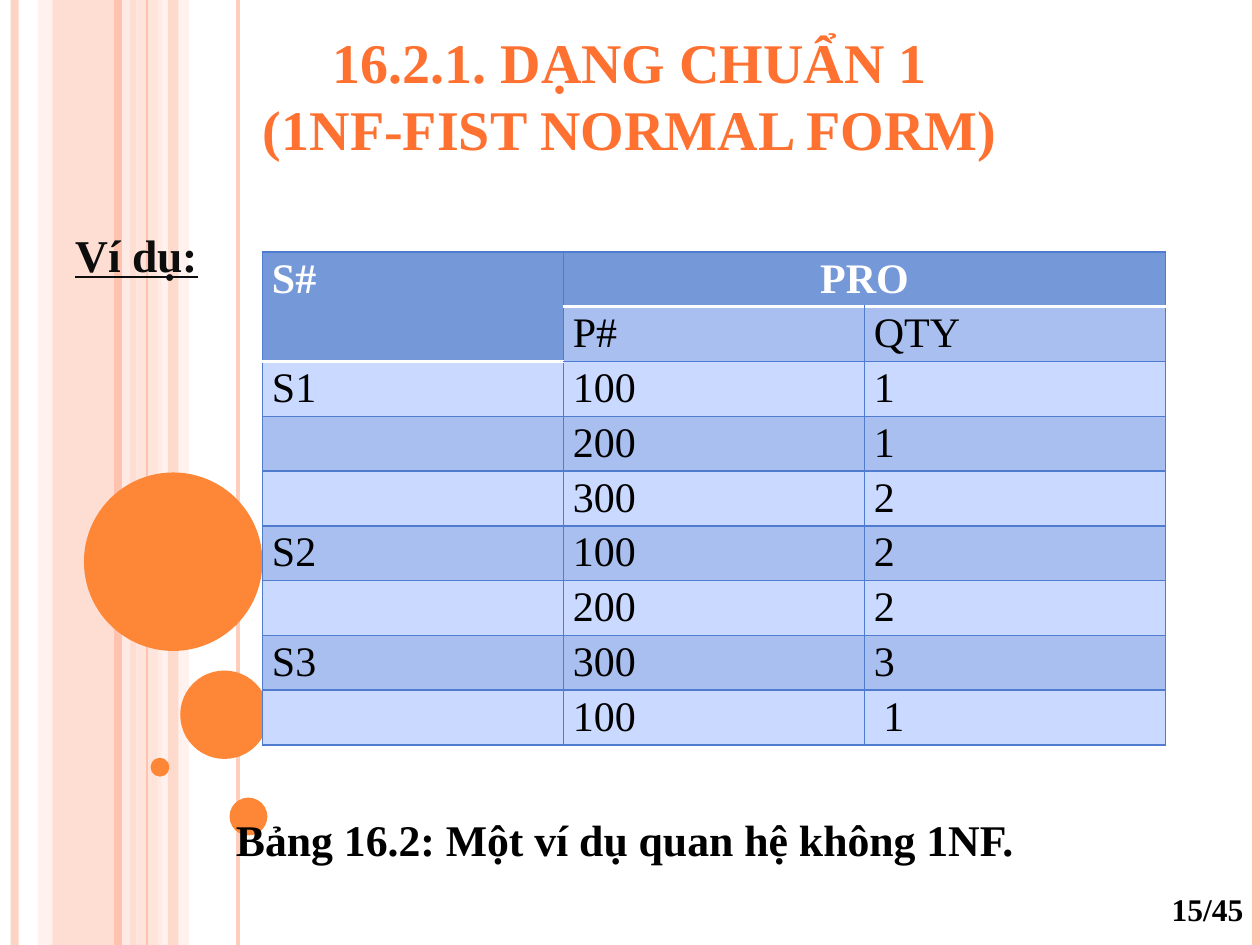
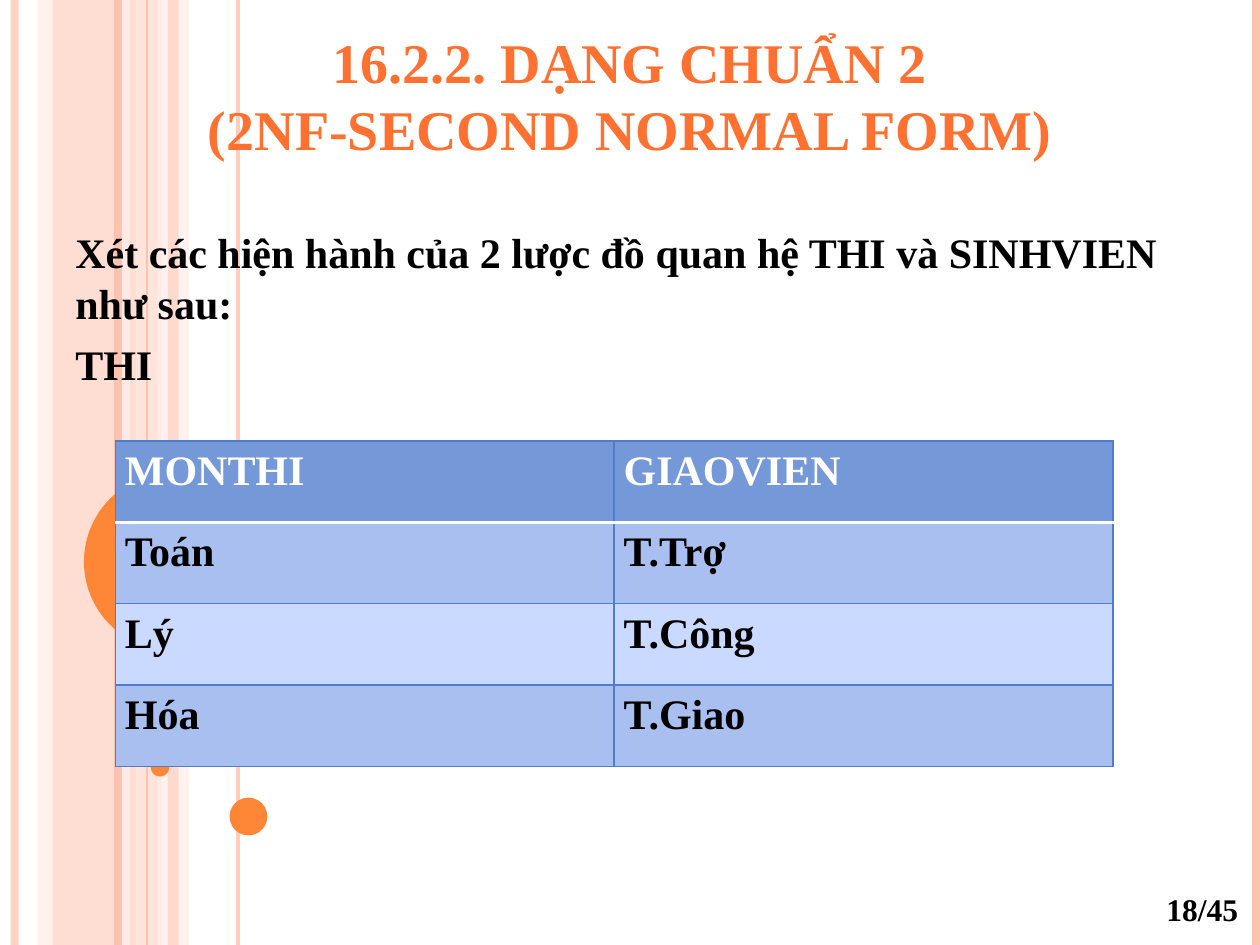
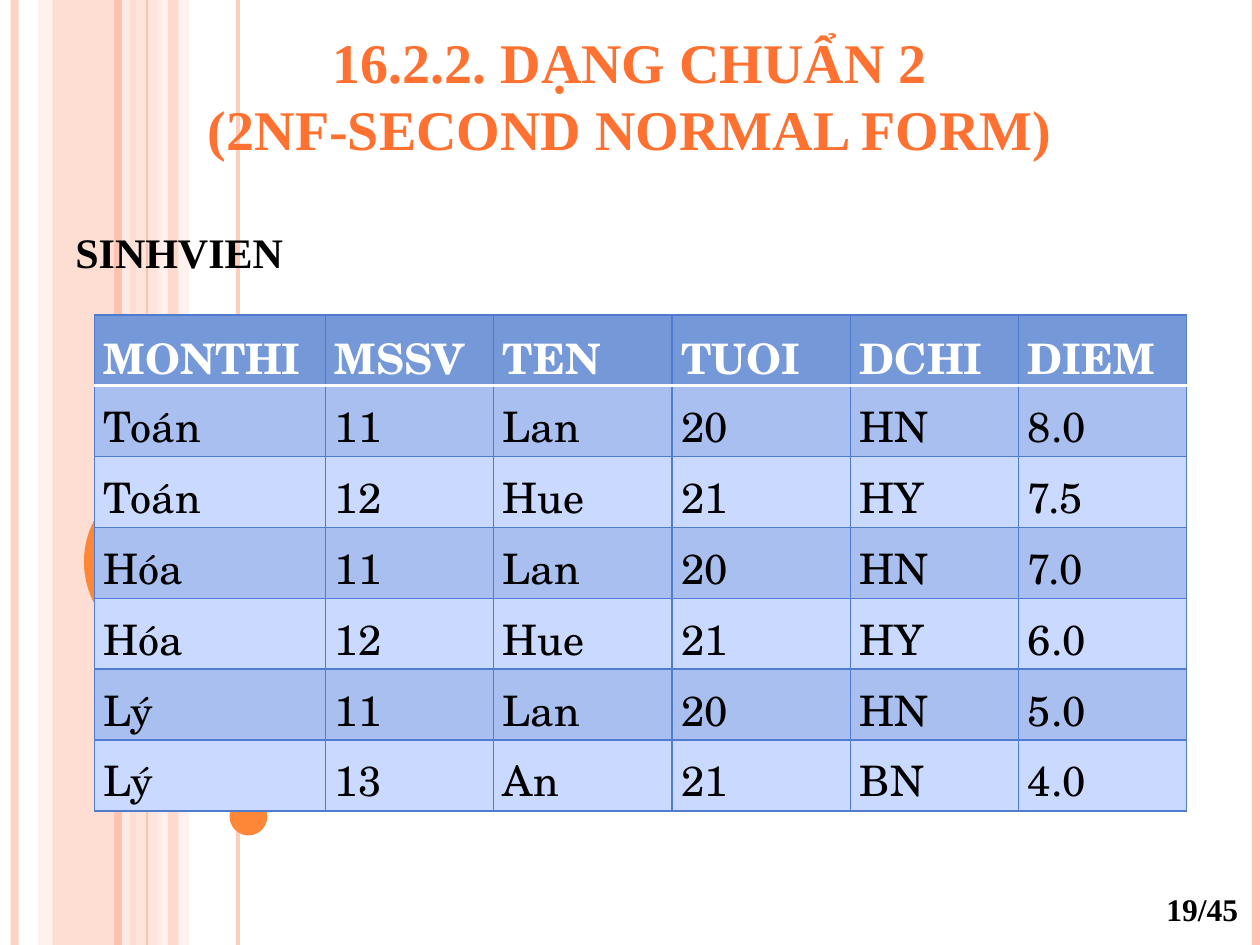
from copy import deepcopy

from lxml import etree
from pptx import Presentation
from pptx.dml.color import RGBColor
from pptx.enum.shapes import MSO_CONNECTOR, MSO_SHAPE
from pptx.enum.text import MSO_ANCHOR, MSO_AUTO_SIZE, PP_ALIGN
from pptx.oxml.ns import qn
from pptx.util import Pt

RECT, OVAL = MSO_SHAPE.RECTANGLE, MSO_SHAPE.OVAL
STRAIGHT = MSO_CONNECTOR.STRAIGHT
LEFT, CENTER = PP_ALIGN.LEFT, PP_ALIGN.CENTER
TOP, MIDDLE, BOTTOM = MSO_ANCHOR.TOP, MSO_ANCHOR.MIDDLE, MSO_ANCHOR.BOTTOM
NO_AUTOFIT = MSO_AUTO_SIZE.NONE

WIDTH, HEIGHT = 720, 540
SERIF, SCHOLA = "Times New Roman", "TeX Gyre Schola"
ORANGE, TITLE_ORANGE = "FE8637", "FE7131"
PEACH, PALE, PALEST = "FEC3AE", "FFD9CE", "FFEDE8"
BLACK, NEAR_BLACK, WHITE = "000000", "0D0D0D", "FFFFFF"
HEADER_BLUE, GRID_BLUE = "7598D9", "4F7CCF"
BAND_DARK, BAND_LIGHT = "A9BFEF", "C9D9FF"

BANDS = [(30, 48, PEACH, 54), (21.6, 8.2, PALE, 36), (78, 14.4, PALE, 70),
         (90, 18, PALEST, 71)]
STRIPES = [(8.4, PEACH, 4.5, 73), (72, PALEST, 4.5, 83), (67.2, PEACH, 4.5, 100),
           (136, PEACH, 2.25, 82), (84, PEACH, 0.75, 100), (717.6, PEACH, 4.5, 100)]
FRONT_BAND = (96, 6, PEACH, 51)
CIRCLES = [(48, 270, 102), (103, 383.2, 50.5), (86, 433, 10.8),
           (131.2, 455.8, 21.6), (150, 354, 28.8)]

FIRST_FORM = "16.2.1. DẠNG CHUẨN 1\v(1NF-FIST NORMAL FORM)"
SECOND_FORM = "16.2.2. DẠNG CHUẨN 2\v(2NF-SECOND NORMAL FORM)"
SUPPLIES = [["S#", "PRO", ""], ["", "P#", "QTY"], ["S1", "100", "1"],
            ["", "200", "1"], ["", "300", "2"], ["S2", "100", "2"],
            ["", "200", "2"], ["S3", "300", "3"], ["", "100", "1"]]
EXAMS = [["MONTHI", "GIAOVIEN"], ["Toán", "T.Trợ"], ["Lý", "T.Công"], ["Hóa", "T.Giao"]]
STUDENTS = [["MONTHI", "MSSV", "TEN", "TUOI", "DCHI", "DIEM"],
            ["Toán", "11", "Lan", "20", "HN", "8.0"],
            ["Toán", "12", "Hue", "21", "HY", "7.5"],
            ["Hóa", "11", "Lan", "20", "HN", "7.0"],
            ["Hóa", "12", "Hue", "21", "HY", "6.0"],
            ["Lý", "11", "Lan", "20", "HN", "5.0"],
            ["Lý", "13", "An", "21", "BN", "4.0"]]


def rgb(value):
    """Turn a hex string into a colour."""
    return RGBColor.from_string(value)


def write(paragraph, text, size=24, color=BLACK, font=SERIF, bold=True,
          underline=False, align=LEFT, before=0, spacing=None):
    """Put formatted text into a paragraph."""
    paragraph.text = text
    paragraph.alignment = align
    paragraph.space_before = Pt(before)
    paragraph.line_spacing = spacing
    for run in paragraph.runs:
        run.font.size, run.font.name = Pt(size), font
        run.font.bold, run.font.underline = bold, underline
        run.font.color.rgb = rgb(color)
    for line_break in paragraph._p.findall(qn("a:br")):
        line_break.append(deepcopy(paragraph.runs[0]._r.rPr))


def set_opacity(shape, percent):
    """Make the colours of a shape partly transparent."""
    if percent < 100:
        for color in shape.element.iter(qn("a:srgbClr")):
            etree.SubElement(color, qn("a:alpha"), val=str(percent * 1000))


def add_solid(slide, kind, left, top, width, height, color, opacity=100):
    """Draw a filled shape without outline."""
    solid = slide.shapes.add_shape(kind, Pt(left), Pt(top), Pt(width), Pt(height))
    solid.shadow.inherit = False
    solid.fill.solid()
    solid.fill.fore_color.rgb = rgb(color)
    solid.line.fill.background()
    set_opacity(solid, opacity)
    return solid


def add_band(slide, left, width, color, opacity):
    """Draw a vertical band over the whole height."""
    return add_solid(slide, RECT, left, 0, width, HEIGHT, color, opacity)


def add_stripe(slide, x, color, weight, opacity):
    """Draw a vertical line over the whole height."""
    stripe = slide.shapes.add_connector(STRAIGHT, Pt(x), Pt(0), Pt(x), Pt(HEIGHT))
    stripe.line.color.rgb = rgb(color)
    stripe.line.width = Pt(weight)
    etree.SubElement(stripe.element.spPr, qn("a:effectLst"))
    set_opacity(stripe, opacity)
    return stripe


def decorate_layout(slide):
    """Draw the bands and circles once and move them to the layout."""
    layout = slide.slide_layout
    for placeholder in list(layout.placeholders):
        if placeholder.placeholder_format.idx >= 10:
            layout.shapes.element.remove(placeholder.element)
    decor = [add_band(slide, *band) for band in BANDS]
    decor += [add_stripe(slide, *stripe) for stripe in STRIPES]
    decor.append(add_band(slide, *FRONT_BAND))
    decor += [add_solid(slide, OVAL, left, top, size, size, ORANGE)
              for left, top, size in CIRCLES]
    for part in decor:
        layout.shapes.element.append(part.element)


def add_textbox(slide, left, top, width, height, anchor=TOP):
    """Add a wrapping text box and return its frame."""
    box = slide.shapes.add_textbox(Pt(left), Pt(top), Pt(width), Pt(height))
    frame = box.text_frame
    frame.word_wrap = True
    frame.vertical_anchor = anchor
    return frame


def add_body(slide, *entries):
    """Add the body text from pairs of wording and format."""
    frame = add_textbox(slide, 36, 126, 642, 384)
    for index, (text, form) in enumerate(entries):
        paragraph = frame.add_paragraph() if index else frame.paragraphs[0]
        write(paragraph, text, **{"before": 6, **form})


def add_titled_slide(deck, title, page, page_left):
    """Add a slide with its title and page number."""
    slide = deck.slides.add_slide(deck.slide_layouts[5])
    heading = slide.shapes.title
    heading.left, heading.top = Pt(54), Pt(12)
    heading.width, heading.height = Pt(612), Pt(84)
    frame = heading.text_frame
    frame.auto_size = NO_AUTOFIT
    frame.vertical_anchor = BOTTOM
    write(frame.paragraphs[0], title, size=32, color=TITLE_ORANGE, align=CENTER)
    number = add_textbox(slide, page_left, 499, WIDTH - page_left, 41, MIDDLE)
    write(number.paragraphs[0], f"{page}/45", size=18, align=CENTER)
    return slide


def set_borders(cell, top, bottom):
    """Draw the four cell borders, with white for a header edge."""
    properties = cell._tc.get_or_add_tcPr()
    edges = [("L", False), ("R", False), ("T", top), ("B", bottom)]
    for index, (side, header_edge) in enumerate(edges):
        weight, color = (2, WHITE) if header_edge else (1, GRID_BLUE)
        border = etree.Element(qn(f"a:ln{side}"), w=str(Pt(weight)))
        fill = etree.SubElement(border, qn("a:solidFill"))
        etree.SubElement(fill, qn("a:srgbClr"), val=color)
        properties.insert(index, border)


def add_grid(slide, left, top, columns, row_height, rows, bold=False,
             font=SERIF, spacing=1.15, merges=()):
    """Add a banded table; merges lists pairs of corner cells."""
    frame = slide.shapes.add_table(len(rows), len(columns), Pt(left), Pt(top),
                                   Pt(sum(columns)), Pt(row_height * len(rows)))
    grid = frame.table
    for column, width in zip(grid.columns, columns):
        column.width = Pt(width)
    for row in grid.rows:
        row.height = Pt(row_height)
    headers = {(0, c) for c in range(len(columns))}
    headers |= {end for _, end in merges}
    for r, row in enumerate(rows):
        for c, text in enumerate(row):
            cell, is_header = grid.cell(r, c), (r, c) in headers
            cell.margin_left = cell.margin_right = Pt(5.4)
            cell.margin_top = cell.margin_bottom = Pt(0)
            cell.fill.solid()
            band = BAND_DARK if r % 2 else BAND_LIGHT
            cell.fill.fore_color.rgb = rgb(HEADER_BLUE if is_header else band)
            set_borders(cell, not is_header and (r - 1, c) in headers, is_header)
            if text:
                write(cell.text_frame.paragraphs[0], text, font=font, spacing=spacing,
                      color=WHITE if is_header else BLACK, bold=bold or is_header)
    for start, end in merges:
        grid.cell(*start).merge(grid.cell(*end))
    return grid


def add_first_form(deck):
    """Build the slide on a relation outside 1NF."""
    slide = add_titled_slide(deck, FIRST_FORM, 15, 660)
    decorate_layout(slide)
    add_body(slide, ("Ví dụ:", dict(size=26, color=NEAR_BLACK, underline=True)),
             ("Bảng 16.2: Một ví dụ quan hệ không 1NF.",
              dict(size=25, align=CENTER, before=303.7)))
    supplies = add_grid(slide, 150, 144, [172] * 3, 31.3, SUPPLIES, spacing=1.08,
                        merges=[((0, 0), (1, 0)), ((0, 1), (0, 2))])
    supplies.cell(0, 1).text_frame.paragraphs[0].alignment = CENTER
    supplies.cell(8, 2).margin_left = Pt(10.8)


def add_exam_relation(deck):
    """Build the slide on the exam relation."""
    slide = add_titled_slide(deck, SECOND_FORM, 18, 654)
    add_body(slide, ("Xét các hiện hành của 2 lược đồ quan hệ THI và SINHVIEN như sau:", {}),
             ("THI", {}))
    add_grid(slide, 66, 252, [285] * 2, 46.5, EXAMS, bold=True)


def add_student_relation(deck):
    """Build the slide on the student relation."""
    slide = add_titled_slide(deck, SECOND_FORM, 19, 654)
    add_body(slide, ("SINHVIEN", {}))
    add_grid(slide, 54, 180, [132, 96, 102, 102, 96, 96], 40.5, STUDENTS, font=SCHOLA)


def main():
    """Build and save the deck."""
    deck = Presentation()
    deck.slide_width, deck.slide_height = Pt(WIDTH), Pt(HEIGHT)
    add_first_form(deck)
    add_exam_relation(deck)
    add_student_relation(deck)
    deck.save("out.pptx")


main()
